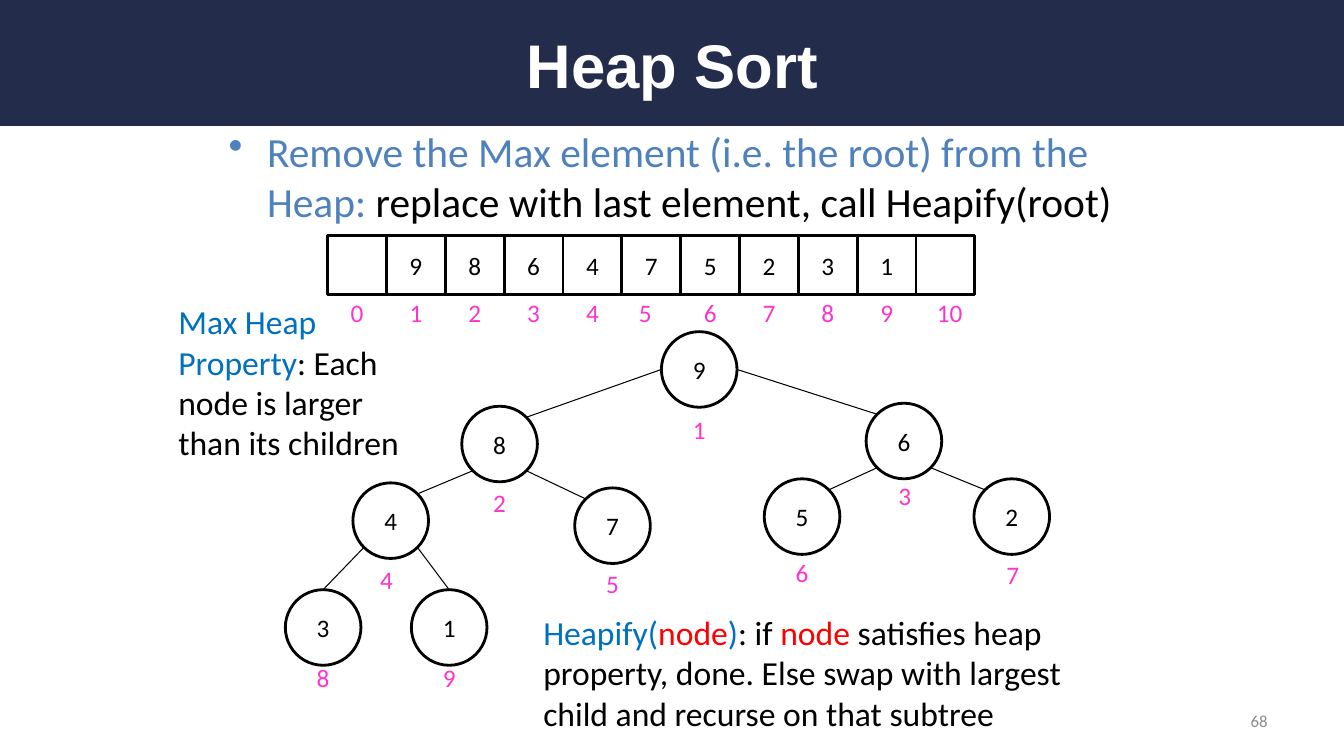
import pptx
import pptx.util
import pptx.dml.color
import pptx.enum.shapes
import pptx.enum.text
import pptx.oxml
import pptx.oxml.ns
from lxml import etree

Inches, Pt = pptx.util.Inches, pptx.util.Pt
Shape = pptx.enum.shapes.MSO_SHAPE
Align = pptx.enum.text.PP_ALIGN
Anchor = pptx.enum.text.MSO_ANCHOR
qn = pptx.oxml.ns.qn

COLORS = {"navy": "232D4B", "white": "FFFFFF", "black": "000000", "steel": "4F81BD",
          "blue": "0070C0", "red": "FF0000", "pink": "FF33CC", "gray": "8C8C8C"}
ARRAY = ["", "9", "8", "6", "4", "7", "5", "2", "3", "1", ""]
FILLED = (0, 1, 2, 4)  # array cells with a white fill
NUDGE = {5: -0.06, 10: 0.04}  # sideways shift of an array index
SIZE = 0.75  # node diameter
INSET = 0.11  # from the box corner of a node to its diagonal point
# heap index: node left, top, then index left, top, relative to the tree
NODES = {1: (3.73, 0, 3.94, 0.77), 2: (1.75, 0.74, 1.96, 1.5), 3: (5.76, 0.71, 5.98, 1.43),
         4: (0.67, 1.5, 0.84, 2.26), 5: (2.87, 1.55, 3.08, 2.3), 6: (4.75, 1.46, 4.96, 2.19),
         7: (6.83, 1.46, 7.05, 2.21), 8: (0, 2.56, 0.21, 3.23), 9: (1.25, 2.56, 1.46, 3.23)}


def rgb(name):
    return pptx.dml.color.RGBColor.from_string(COLORS[name])


def style(font, size, color, name="Calibri", bold=False):
    font.size, font.name, font.bold = Pt(size), name, bold
    font.color.rgb = rgb(color)


def block(slide, box, runs, size, align=Align.LEFT, anchor=Anchor.TOP, wrap=True, **look):
    """Add a text box of (text, color) runs and return its paragraph."""
    frame = slide.shapes.add_textbox(*map(Inches, box)).text_frame
    frame.word_wrap, frame.vertical_anchor = wrap, anchor
    para = frame.paragraphs[0]
    para.alignment = align
    style(para.font, size, runs[0][1], **look)
    for text, color in runs:
        run = para.add_run()
        run.text = text
        if len(runs) > 1:
            run.font.color.rgb = rgb(color)
    return para


def mark(slide, x, y, index):
    wide = 0.33 if index < 10 else 0.46
    block(slide, (x, y, wide, 0.4), [(str(index), "pink")], 18, Align.CENTER, wrap=False)


def cell(slide, kind, box, text, fill="white"):
    """Add an outlined shape that holds one value."""
    shape = slide.shapes.add_shape(kind, *map(Inches, box))
    shape.shadow.inherit = False
    if fill:
        shape.fill.solid()
        shape.fill.fore_color.rgb = rgb(fill)
    else:
        shape.fill.background()
    shape.line.color.rgb = rgb("black")
    shape.line.width = Pt(2)
    frame = shape.text_frame
    frame.vertical_anchor = Anchor.MIDDLE
    para = frame.paragraphs[0]
    para.text, para.alignment = text, Align.CENTER
    style(para.font, 18, "black")


def edge(slide, start, end):
    line = slide.shapes.add_connector(pptx.enum.shapes.MSO_CONNECTOR.STRAIGHT,
                                      *map(Inches, start + end))
    line.line.color.rgb = rgb("black")
    line.line.width = Pt(0.75)
    etree.SubElement(line._element.spPr, qn("a:effectLst"))


def header(slide, x, y, w, h):
    band = slide.shapes.add_shape(Shape.RECTANGLE, *map(Inches, (x, y, w, h)))
    band.shadow.inherit = False
    band.fill.solid()
    band.fill.fore_color.rgb = rgb("navy")
    band.line.fill.background()
    block(slide, (x + 0.67, y + 0.17, w - 1.33, 0.92), [("Heap Sort", "white")], 44,
          Align.CENTER, Anchor.MIDDLE, name="Arial", bold=True)


def bullet(slide, box):
    para = block(slide, box, [
        ("Remove the Max element (i.e. the root) from the Heap: ", "steel"),
        ("replace with last element, call Heapify(root)", "black")], 29.6, anchor=Anchor.MIDDLE)
    para.space_before = Pt(6)
    props = para._p.get_or_add_pPr()
    props.set("marL", str(Inches(0.38)))
    props.set("indent", str(-Inches(0.38)))
    dot = pptx.oxml.parse_xml(
        '<a:buChar xmlns:a="http://schemas.openxmlformats.org/drawingml/2006/main" char="•"/>')
    props.find(qn("a:defRPr")).addprevious(dot)


def array(slide, x, y, w):
    side = w / len(ARRAY)
    for i, value in enumerate(ARRAY):
        left = x + i * side
        cell(slide, Shape.RECTANGLE, (left, y, side, side), value,
             "white" if i in FILLED else None)
        wide = 0.33 if i < 10 else 0.46
        mark(slide, left + (side - wide) / 2 + NUDGE.get(i, 0), y + 0.56, i)


def tree(slide, x, y):
    far = SIZE - INSET
    for i, (left, top, tagx, tagy) in NODES.items():
        left, top = x + left, y + top
        cell(slide, Shape.OVAL, (left, top, SIZE, SIZE), ARRAY[i])
        mark(slide, x + tagx, y + tagy, i)
        if i == 1:
            continue
        right = i % 2
        up = (x + NODES[i // 2][0], y + NODES[i // 2][1])
        if i <= 3:
            start = (up[0] + right * SIZE, up[1] + SIZE / 2)
        else:
            start = (up[0] + (far if right else INSET), up[1] + far)
        if i >= 8:
            end = (left + SIZE / 2, top)
        else:
            end = (left + (INSET if right else far), top + INSET)
        edge(slide, start, end)


def notes(slide):
    """Place the two explanations beside the tree."""
    block(slide, (1.67, 2.94, 2.42, 1.72), [
        ("Max Heap Property", "blue"),
        (": Each node is larger than its children", "black")], 24)
    block(slide, (5.29, 6.02, 5.63, 1.31), [
        ("Heapify(", "blue"), ("node", "red"), (")", "blue"), (": if ", "black"),
        ("node", "red"),
        (" satisfies heap property, done. Else swap with largest child and recurse "
         "on that subtree", "black")], 24)


def main():
    deck = pptx.Presentation()
    deck.slide_width, deck.slide_height = Inches(13.33), Inches(7.5)
    slide = deck.slides.add_slide(deck.slide_layouts[6])
    header(slide, 0, 0, 13.33, 1.25)
    bullet(slide, (2.17, 1.08, 9.25, 1.33))
    block(slide, (9.56, 6.95, 3.11, 0.4), [("68", "gray")], 12, Align.RIGHT, Anchor.MIDDLE)
    array(slide, 3.25, 2.34, 6.42)
    tree(slide, 2.83, 3.29)
    notes(slide)
    deck.save("out.pptx")


if __name__ == "__main__":
    main()
